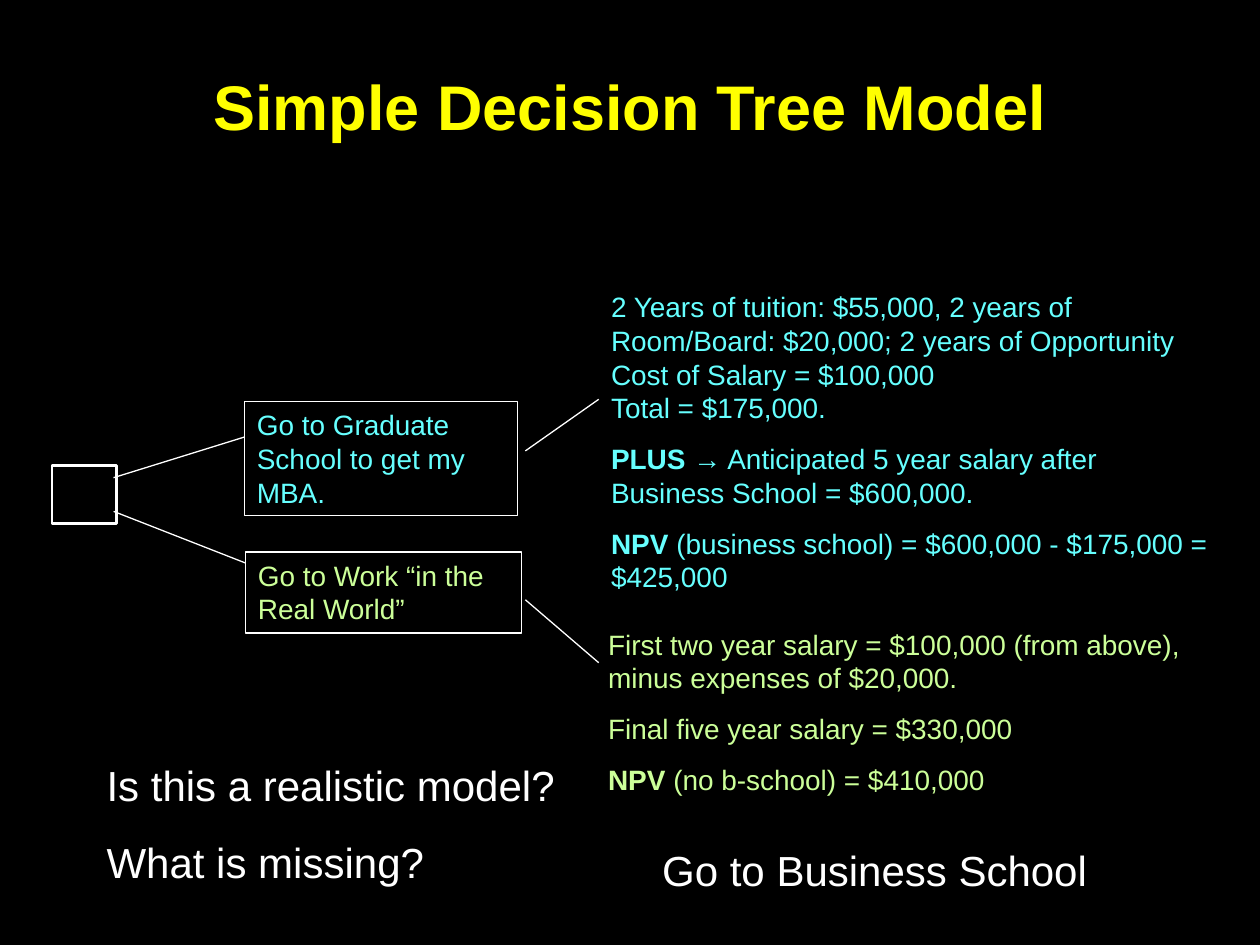
from lxml.etree import SubElement
from pptx import Presentation
from pptx.dml.color import RGBColor
from pptx.enum.shapes import MSO_CONNECTOR, MSO_SHAPE
from pptx.enum.text import MSO_ANCHOR, PP_ALIGN
from pptx.oxml.ns import qn
from pptx.util import Cm, Pt

BLACK, WHITE, YELLOW = "000000", "FFFFFF", "FFFF00"
CYAN, GREEN = "66FFFF", "CCFF99"
BODY = {"size": Pt(16), "name": "Arial"}
LARGE = {"size": Pt(24), "name": "Arial"}
HEADING = {"size": Pt(36), "name": "Arial"}


def color(value):
    return RGBColor.from_string(value)


def write_text(shape, paragraphs, font, text_color, gap=0, align=PP_ALIGN.LEFT, anchor=MSO_ANCHOR.TOP):
    frame = shape.text_frame
    frame.word_wrap = True
    frame.vertical_anchor = anchor
    for index, pieces in enumerate(paragraphs):
        paragraph = frame.add_paragraph() if index else frame.paragraphs[0]
        paragraph.alignment = align
        paragraph.space_before = Pt(gap if index else 0)
        for text, bold in pieces:
            if text == "\n":
                paragraph.add_line_break()
                continue
            run = paragraph.add_run()
            run.text = text
            for name, value in {**font, "bold": bold}.items():
                setattr(run.font, name, value)
            run.font.color.rgb = color(text_color)


def add_text(slide, box, paragraphs, font, text_color, **layout):
    shape = slide.shapes.add_textbox(*map(Cm, box))
    write_text(shape, paragraphs, font, text_color, **layout)


def add_frame(slide, box, width):
    shape = slide.shapes.add_shape(MSO_SHAPE.RECTANGLE, *map(Cm, box))
    shape.shadow.inherit = False
    shape.fill.background()
    shape.line.color.rgb = color(WHITE)
    shape.line.width = Pt(width)
    return shape


def add_line(slide, origin, start, end):
    left, top = origin
    points = (left + start[0], top + start[1], left + end[0], top + end[1])
    connector = slide.shapes.add_connector(MSO_CONNECTOR.STRAIGHT, *map(Cm, points))
    connector.line.color.rgb = color(WHITE)
    connector.line.width = Pt(0.75)
    SubElement(connector._element.spPr, qn("a:effectLst"))


def add_title(slide, box):
    add_text(slide, box, [[("Simple Decision Tree Model", True)]], HEADING, YELLOW,
             align=PP_ALIGN.CENTER, anchor=MSO_ANCHOR.MIDDLE)


def add_branch(slide, box, branch):
    left, top = box[:2]
    option = add_frame(slide, box, 0.75)
    write_text(option, [[(branch["option"], False)]], BODY, branch["color"])
    for start, end in branch["lines"]:
        add_line(slide, (left, top), start, end)
    across, down, width, height = branch["outcome_box"]
    add_text(slide, (left + across, top + down, width, height),
             branch["outcome"], BODY, branch["color"], gap=10)


def add_tree(slide, box):
    left, top = box
    add_frame(slide, (left, top + 1.28, 1.3, 1.17), 1.5)
    for branch in BRANCHES:
        across, down, width, height = branch["box"]
        add_branch(slide, (left + across, top + down, width, height), branch)


def add_discussion(slide, box):
    left, top, width, height = box
    questions = [[("Is this a realistic model?", False)], [("What is missing?", False)]]
    add_text(slide, box, questions, LARGE, WHITE, gap=15)
    add_text(slide, (left + 11.2, top + 1.7, 10.6, 1.27),
             [[("Go to Business School", False)]], LARGE, WHITE)


BRANCHES = [
    {
        "box": (3.88, 0, 5.51, 2.29),
        "color": CYAN,
        "option": "Go to Graduate School to get my MBA.",
        "lines": [((-2.64, 1.53), (0, 0.71)), ((5.66, 0.99), (7.14, -0.05))],
        "outcome_box": (7.14, -2.38, 12.7, 6.38),
        "outcome": [
            [("2 Years of tuition: $55,000, 2 years of Room/Board: $20,000; "
              "2 years of Opportunity Cost of Salary = $100,000 ", False),
             ("\n", False), ("Total = $175,000.", False)],
            [("PLUS ", True),
             ("→ Anticipated 5 year salary after Business School = $600,000.", False)],
            [("NPV ", True),
             ("(business school) = $600,000 - $175,000 = $425,000", False)],
        ],
    },
    {
        "box": (3.9, 3.03, 5.56, 1.63),
        "color": GREEN,
        "option": "Go to Work “in the Real World”",
        "lines": [((-2.66, -0.82), (0, 0.22)), ((5.64, 0.96), (7.12, 2.23))],
        "outcome_box": (7.06, 1.39, 12.7, 3.68),
        "outcome": [
            [("First two year salary = $100,000 (from above), "
              "minus expenses of $20,000.", False)],
            [("Final five year salary = $330,000", False)],
            [("NPV", True), (" (no b-school) = $410,000", False)],
        ],
    },
]


def main():
    presentation = Presentation()
    presentation.slide_width = Cm(25.4)
    presentation.slide_height = Cm(19.05)
    slide = presentation.slides.add_slide(presentation.slide_layouts[6])
    slide.background.fill.solid()
    slide.background.fill.fore_color.rgb = color(BLACK)
    add_title(slide, (1.9, 1.07, 21.6, 2.11))
    add_tree(slide, (1.05, 8.1))
    add_discussion(slide, (1.9, 15.19, 22, 2.82))
    presentation.save("out.pptx")


if __name__ == "__main__":
    main()
